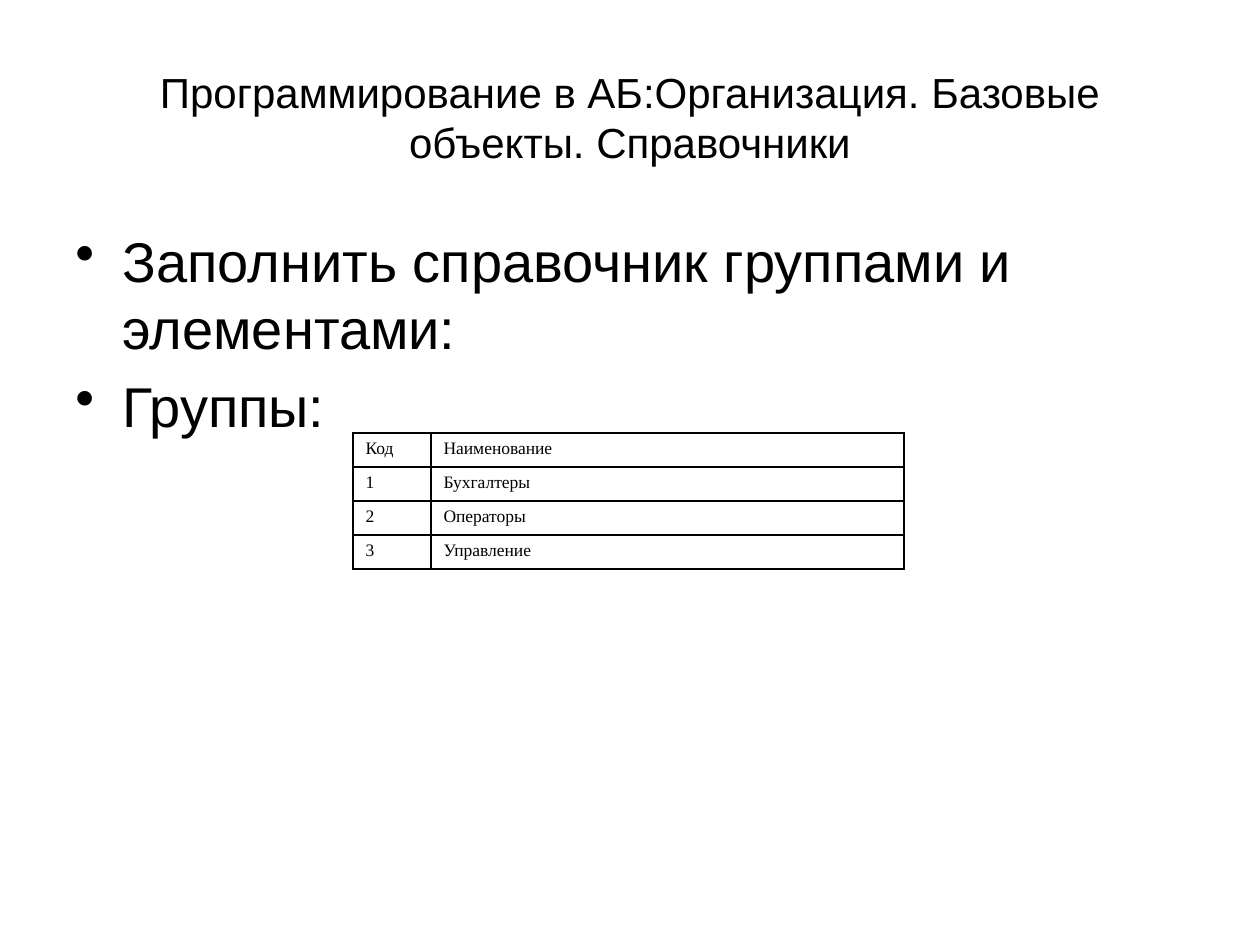
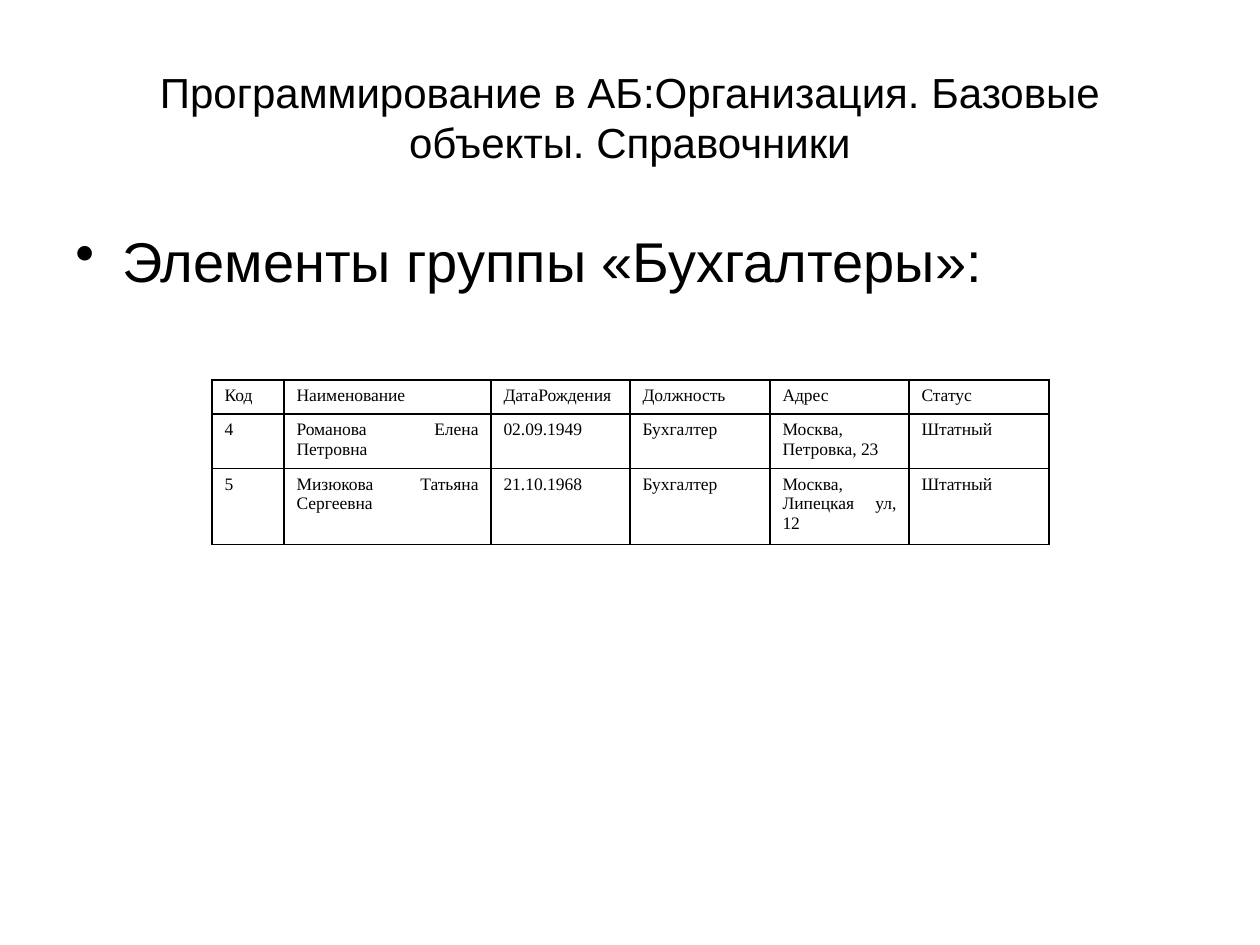
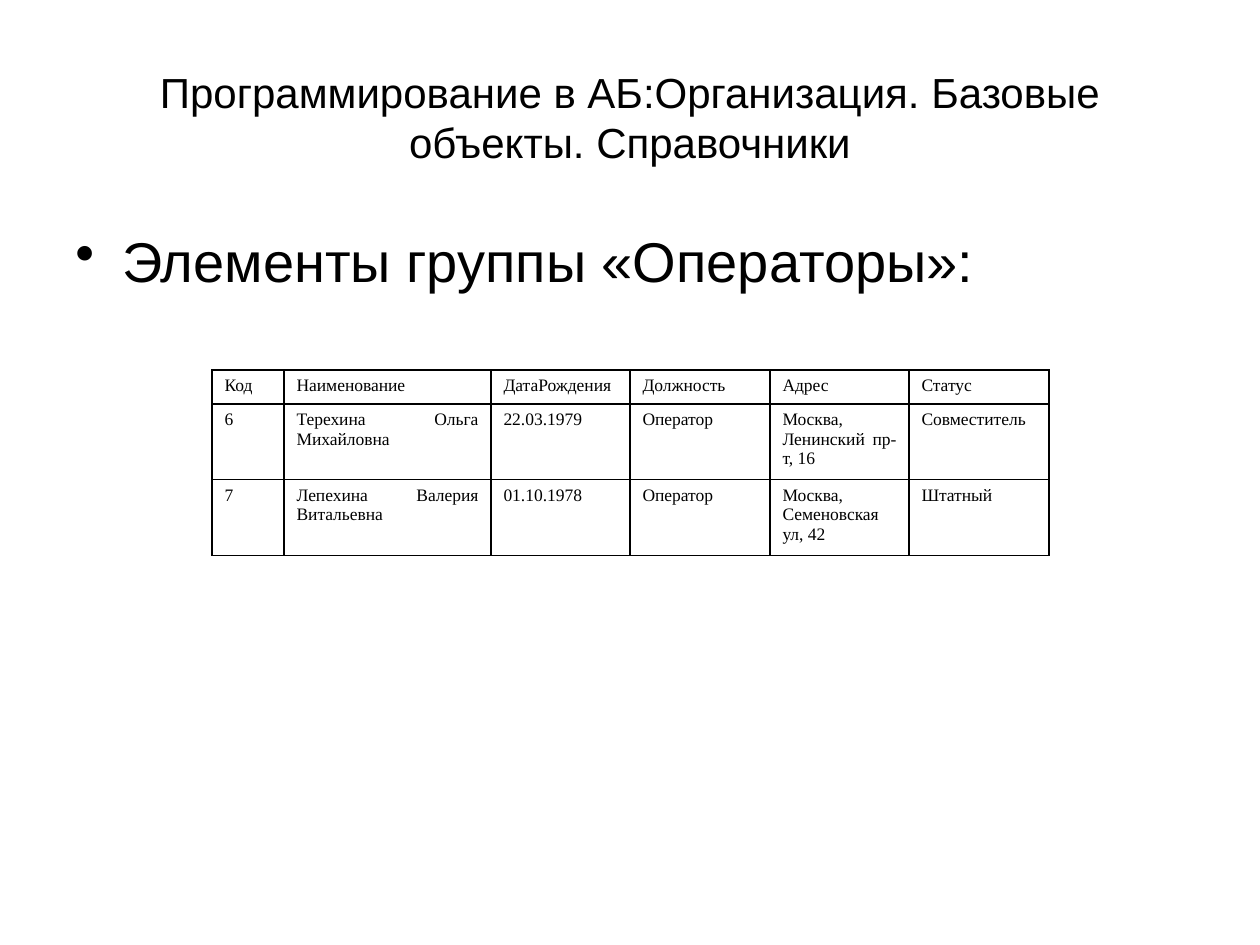
from dataclasses import dataclass

from lxml.etree import SubElement
from pptx import Presentation
from pptx.dml.color import RGBColor
from pptx.enum.text import MSO_ANCHOR, PP_ALIGN
from pptx.oxml.ns import qn
from pptx.util import Emu, Pt

PX = 914400 / 126


def px(length):
    return Emu(round(length * PX))


@dataclass(frozen=True)
class Theme:
    ink: str = "000000"
    paper: str = "FFFFFF"
    text_font: str = "Arial"
    table_font: str = "Times New Roman"
    title_size: int = 24
    body_size: int = 32
    table_size: int = 10
    bullet_gap: float = 6.4
    border_width: int = 1


def apply(target, values):
    for name, value in values.items():
        setattr(target, name, value)


class Deck:
    def __init__(self, theme):
        self.theme = theme
        self.presentation = Presentation()
        apply(self.presentation, {"slide_width": px(1260), "slide_height": px(945)})
        self.slide = None

    def add_slide(self):
        self.slide = self.presentation.slides.add_slide(self.presentation.slide_layouts[6])
        fill = self.slide.background.fill
        fill.solid()
        fill.fore_color.rgb = RGBColor.from_string(self.theme.paper)

    def add_text(self, paragraph, text, font_name, size):
        run = paragraph.add_run()
        run.text = text
        apply(run.font, {"name": font_name, "size": Pt(size)})
        run.font.color.rgb = RGBColor.from_string(self.theme.ink)

    def add_text_frame(self, left, top, width, height, anchor):
        shape = self.slide.shapes.add_textbox(px(left), px(top), px(width), px(height))
        apply(shape.text_frame, {"word_wrap": True, "vertical_anchor": anchor})
        return shape.text_frame

    def add_title(self, text):
        frame = self.add_text_frame(63, 38, 1134, 157, MSO_ANCHOR.MIDDLE)
        paragraph = frame.paragraphs[0]
        paragraph.alignment = PP_ALIGN.CENTER
        self.add_text(paragraph, text, self.theme.text_font, self.theme.title_size)

    def add_bullets(self, items):
        frame = self.add_text_frame(63, 220, 1134, 624, MSO_ANCHOR.TOP)
        for index, item in enumerate(items):
            paragraph = frame.add_paragraph() if index else frame.paragraphs[0]
            properties = paragraph._p.get_or_add_pPr()
            properties.set("marL", str(px(47)))
            properties.set("indent", str(-px(47)))
            SubElement(properties, qn("a:buChar"), char="•")
            if index:
                paragraph.space_before = Pt(self.theme.bullet_gap)
            self.add_text(paragraph, item, self.theme.text_font, self.theme.body_size)

    def add_borders(self, cell):
        properties = cell._tc.get_or_add_tcPr()
        for side in ("a:lnL", "a:lnR", "a:lnT", "a:lnB"):
            line = SubElement(properties, qn(side), w=str(Pt(self.theme.border_width)))
            fill = SubElement(line, qn("a:solidFill"))
            SubElement(fill, qn("a:srgbClr"), val=self.theme.ink)

    def add_table(self, left, top, widths, heights, rows):
        frame = self.slide.shapes.add_table(
            len(rows), len(widths), px(left), px(top), px(sum(widths)), px(sum(heights)))
        table = frame.table
        apply(table, {"first_row": False, "horz_banding": False})
        for column, width in zip(table.columns, widths):
            column.width = px(width)
        for row, height, texts in zip(table.rows, heights, rows):
            row.height = px(height)
            for cell, text in zip(row.cells, texts):
                self.add_borders(cell)
                cell.fill.background()
                paragraph = cell.text_frame.paragraphs[0]
                paragraph.alignment = PP_ALIGN.JUSTIFY
                self.add_text(paragraph, text, self.theme.table_font, self.theme.table_size)


TITLE = "Программирование в АБ:Организация. Базовые объекты. Справочники"
ROW = 34
GROUP_COLUMNS = [78, 473]
STAFF_COLUMNS = [72, 207, 139, 140, 139, 140]
STAFF_HEADER = ["Код", "Наименование", "ДатаРождения", "Должность", "Адрес", "Статус"]

GROUPS = [
    ["Код", "Наименование"],
    ["1", "Бухгалтеры"],
    ["2", "Операторы"],
    ["3", "Управление"],
]
ACCOUNTANTS = [
    STAFF_HEADER,
    ["4", "Романова Елена Петровна", "02.09.1949", "Бухгалтер",
     "Москва, Петровка, 23", "Штатный"],
    ["5", "Мизюкова Татьяна Сергеевна", "21.10.1968", "Бухгалтер",
     "Москва, Липецкая ул, 12", "Штатный"],
]
OPERATORS = [
    STAFF_HEADER,
    ["6", "Терехина Ольга Михайловна", "22.03.1979", "Оператор",
     "Москва, Ленинский пр-т, 16", "Совместитель"],
    ["7", "Лепехина Валерия Витальевна", "01.10.1978", "Оператор",
     "Москва, Семеновская ул, 42", "Штатный"],
]

# Bullets, then the table: left, top, column widths, row heights, cell texts
SLIDES = [
    (["Заполнить справочник группами и элементами:", "Группы:"],
     (353, 433, GROUP_COLUMNS, [ROW] * 4, GROUPS)),
    (["Элементы группы «Бухгалтеры»:"],
     (212, 380, STAFF_COLUMNS, [ROW, 52, 70], ACCOUNTANTS)),
    (["Элементы группы «Операторы»:"],
     (212, 370, STAFF_COLUMNS, [ROW, 70, 70], OPERATORS)),
]


def main():
    deck = Deck(Theme())
    for bullets, table in SLIDES:
        deck.add_slide()
        deck.add_title(TITLE)
        deck.add_bullets(bullets)
        deck.add_table(*table)
    deck.presentation.save("out.pptx")


if __name__ == "__main__":
    main()
